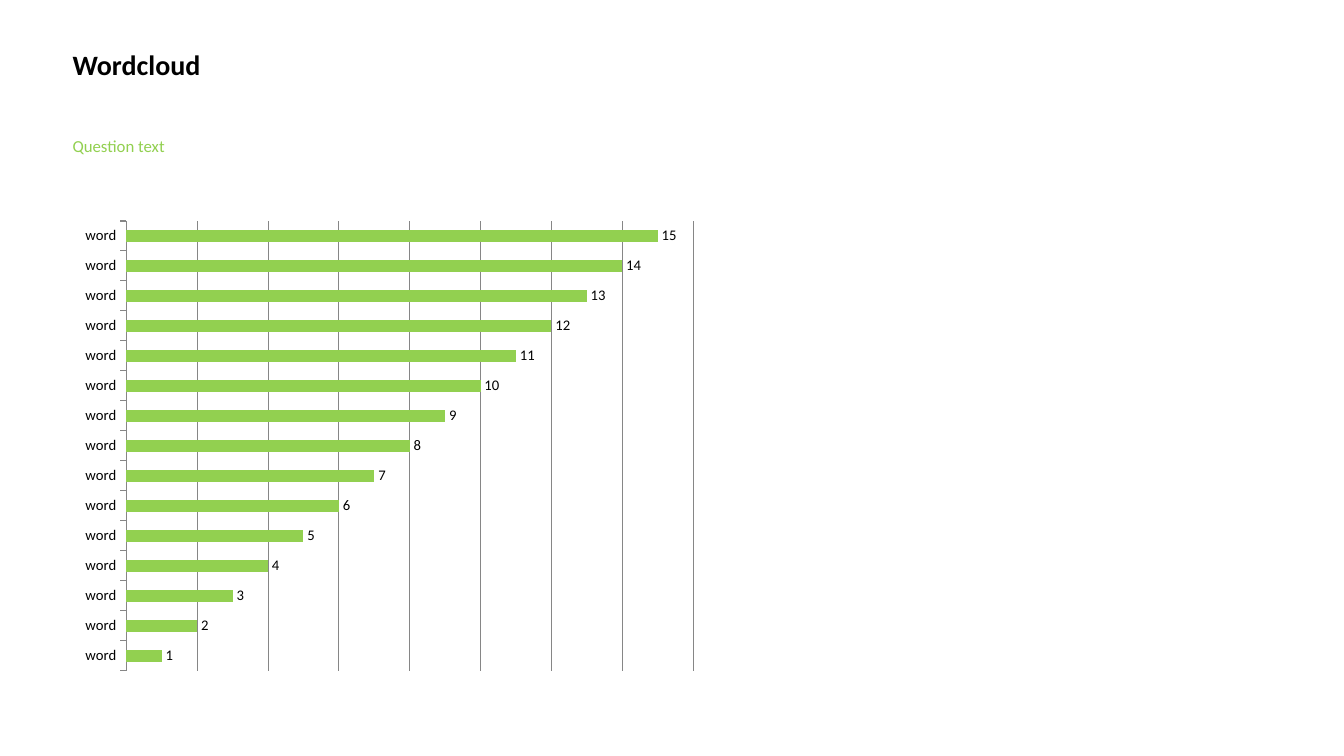
"""Build a slide with a title, a question and a ranked bar chart of words."""
import pptx
import pptx.chart.data
import pptx.dml.color
import pptx.enum.chart
import pptx.enum.text
import pptx.util
from pptx.util import Inches, Pt

FONT = "Calibri"
COLORS = {"text": "000000", "accent": "92D050", "grid": "868686"}
TEXTS = [
    {"text": "Wordcloud", "top": 0.47, "height": 0.84, "size": 20,
     "color": "text", "bold": True, "spacing": 1.0},
    {"text": "Question text", "top": 1.31, "height": 0.6, "size": 12,
     "color": "accent", "bold": False, "spacing": 1.2},
]
WORDS = [("word", count) for count in range(15, 0, -1)]
LEFT, TEXT_WIDTH = 0.72, 9.84
CHART_TOP, CHART_WIDTH, CHART_HEIGHT = 2.1, 6.28, 4.65


def rgb(name):
    return pptx.dml.color.RGBColor.from_string(COLORS[name])


def style_font(font, size, color="text", bold=False):
    font.name = FONT
    font.size = Pt(size)
    font.bold = bold
    font.color.rgb = rgb(color)


def style_line(line):
    line.color.rgb = rgb("grid")
    line.width = Pt(0.75)


def add_text(slide, item):
    box = slide.shapes.add_textbox(Inches(LEFT), Inches(item["top"]),
                                   Inches(TEXT_WIDTH), Inches(item["height"]))
    frame = box.text_frame
    frame.word_wrap = True
    frame.vertical_anchor = pptx.enum.text.MSO_ANCHOR.TOP
    frame.margin_left = frame.margin_right = 0
    frame.margin_top = frame.margin_bottom = 0
    frame.text = item["text"]
    paragraph = frame.paragraphs[0]
    paragraph.line_spacing = item["spacing"]
    style_font(paragraph.runs[0].font, item["size"], item["color"], item["bold"])


def add_word_chart(slide):
    data = pptx.chart.data.CategoryChartData()
    data.categories = [word for word, count in WORDS]
    data.add_series("Series 1", [count for word, count in WORDS])
    chart = slide.shapes.add_chart(
        pptx.enum.chart.XL_CHART_TYPE.BAR_CLUSTERED, Inches(LEFT), Inches(CHART_TOP),
        Inches(CHART_WIDTH), Inches(CHART_HEIGHT), data).chart
    chart.has_legend = False
    chart.has_title = False
    style_font(chart.font, 18)

    words = chart.category_axis
    words.reverse_order = True
    words.major_tick_mark = pptx.enum.chart.XL_TICK_MARK.OUTSIDE
    style_font(words.tick_labels.font, 10.5)
    style_line(words.format.line)

    counts = chart.value_axis
    counts.minimum_scale, counts.maximum_scale, counts.major_unit = 0, 16, 2
    counts.has_major_gridlines = True
    style_line(counts.major_gridlines.format.line)
    counts.visible = False

    plot = chart.plots[0]
    plot.gap_width = 150
    plot.vary_by_categories = False
    series = plot.series[0]
    series.format.fill.solid()
    series.format.fill.fore_color.rgb = rgb("accent")
    labels = series.data_labels
    labels.show_value = True
    labels.position = pptx.enum.chart.XL_LABEL_POSITION.OUTSIDE_END
    style_font(labels.font, 10.5)


def main():
    presentation = pptx.Presentation()
    presentation.slide_width = Inches(13.33)
    presentation.slide_height = Inches(7.5)
    slide = presentation.slides.add_slide(presentation.slide_layouts[6])
    for item in TEXTS:
        add_text(slide, item)
    add_word_chart(slide)
    presentation.save("out.pptx")


if __name__ == "__main__":
    main()
